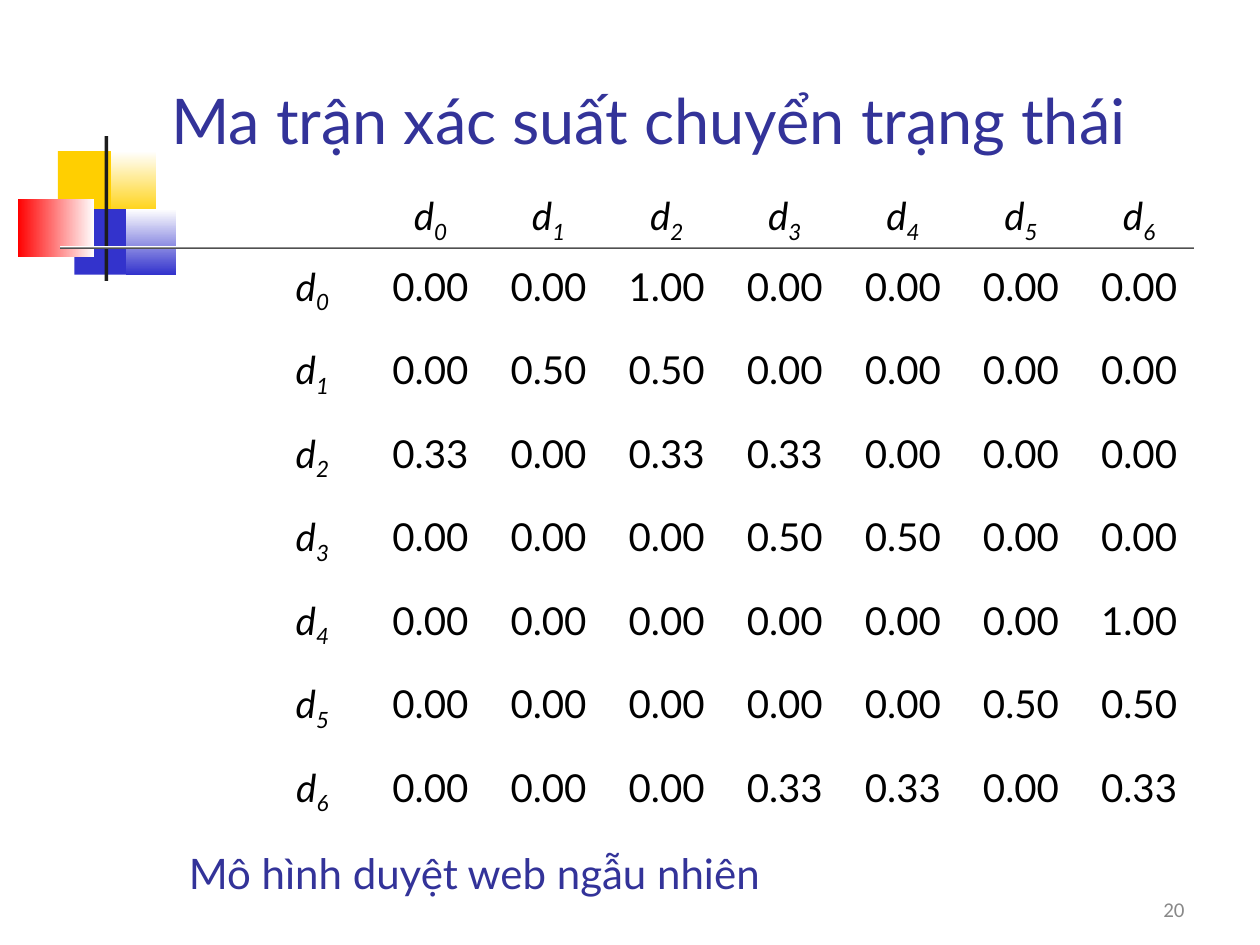
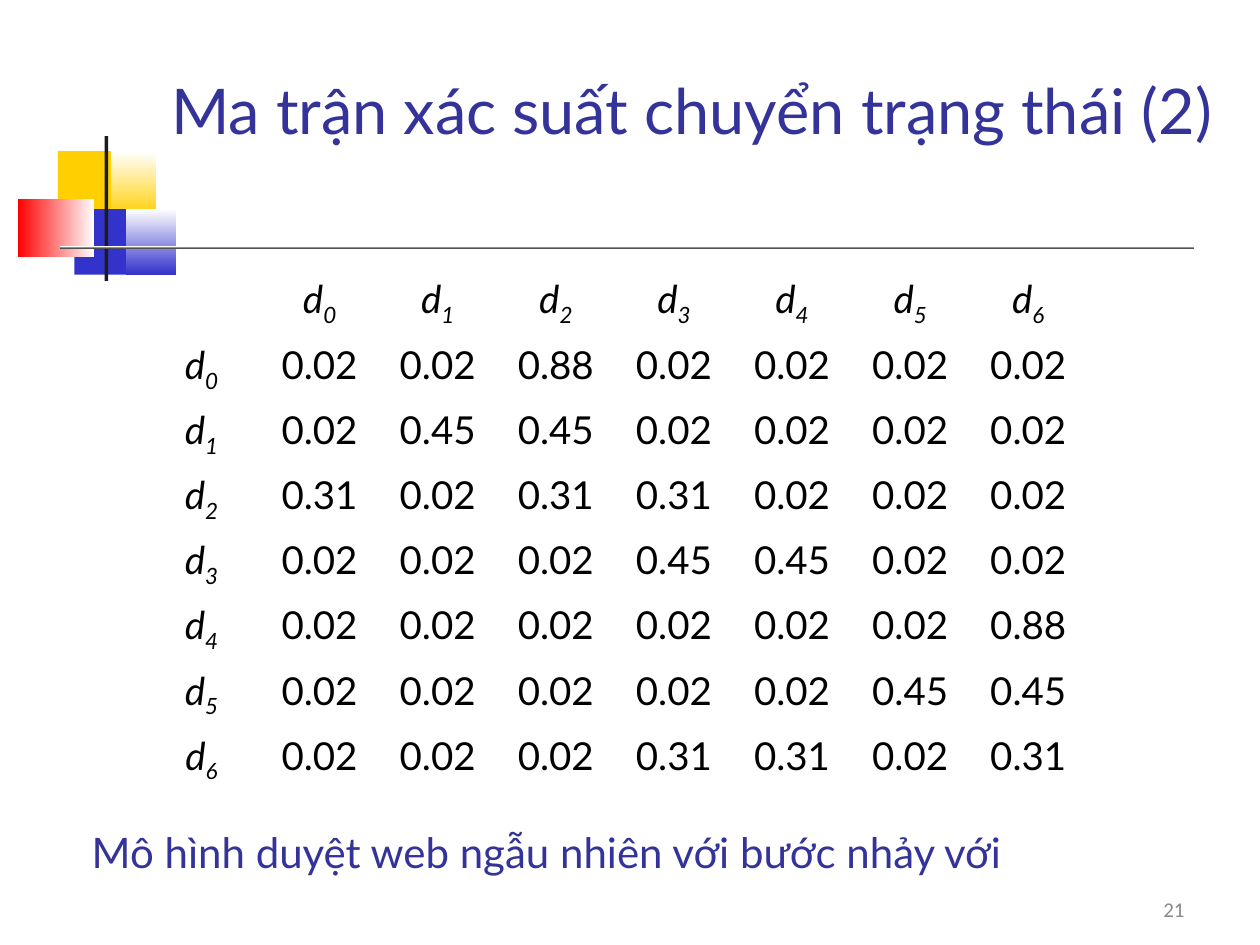
from pptx import Presentation, util as u
from pptx.dml.color import RGBColor
from pptx.enum import shapes, text
from pptx.oxml import ns

COLORS = {
    "title": "333399", "body": "000000", "number": "898989", "white": "FFFFFF",
    "yellow": "FFCF01", "blue": "3333CC", "red": "FF0000", "dark": "1C1C1C",
}
TITLE = {"name": "Lato", "size": 36, "color": "title"}
CAPTION = {"name": "Lato", "size": 24, "color": "title"}
NUMBER = {"name": "Calibri", "size": 12, "color": "number"}
VALUE = {"name": "Lato", "size": 22, "color": "body", "italic": False}
STATE = {**VALUE, "italic": True}
NO_GRID_STYLE = "{2D5ABB26-0587-4C30-8999-92F81FD0307C}"
NUMBER_BOX = (7.17, 7.08, 2.33, 0.27)
MOTIF_BOX = (0.14, 1.08)
MOTIF_PARTS = [
    ((0.32, 0.12, 0.48, 0.52), ["yellow"], 0),
    ((0.74, 0.12, 0.36, 0.52), ["yellow", "white"], 90),
    ((0.45, 0.58, 0.46, 0.52), ["blue"], 0),
    ((0.86, 0.58, 0.40, 0.52), ["blue", "white"], 90),
    ((0, 0.50, 0.61, 0.46), ["white", "red"], 180),
    ((0.69, 0, 0.03, 1.15), ["dark"], 0),
    ((0.34, 0.87, 9, 0.03), ["dark", "white"], 90),
]

SLIDES = [
    {
        "title": "Ma trận xác suất chuyển trạng thái",
        "title_box": (1.26, 0.6, 8.52, 1.34),
        "matrix_box": (2.01, 1.48, 7.5, 5.2),
        "header_height": 0.56,
        "matrix": [
            "0.00 0.00 1.00 0.00 0.00 0.00 0.00",
            "0.00 0.50 0.50 0.00 0.00 0.00 0.00",
            "0.33 0.00 0.33 0.33 0.00 0.00 0.00",
            "0.00 0.00 0.00 0.50 0.50 0.00 0.00",
            "0.00 0.00 0.00 0.00 0.00 0.00 1.00",
            "0.00 0.00 0.00 0.00 0.00 0.50 0.50",
            "0.00 0.00 0.00 0.33 0.33 0.00 0.33",
        ],
        "caption": "Mô hình duyệt web ngẫu nhiên",
        "caption_box": (1.4, 6.68, 7.8, 0.5),
        "number": "20",
    },
    {
        "title": "Ma trận xác suất chuyển trạng thái (2)",
        "title_box": (1.26, 0.52, 8.52, 1.42),
        "matrix_box": (1.13, 2.14, 7.5, 4.14),
        "header_height": 0.52,
        "matrix": [
            "0.02 0.02 0.88 0.02 0.02 0.02 0.02",
            "0.02 0.45 0.45 0.02 0.02 0.02 0.02",
            "0.31 0.02 0.31 0.31 0.02 0.02 0.02",
            "0.02 0.02 0.02 0.45 0.45 0.02 0.02",
            "0.02 0.02 0.02 0.02 0.02 0.02 0.88",
            "0.02 0.02 0.02 0.02 0.02 0.45 0.45",
            "0.02 0.02 0.02 0.31 0.31 0.02 0.31",
        ],
        "caption": "Mô hình duyệt web ngẫu nhiên với bước nhảy với",
        "caption_box": (0.63, 6.51, 8.74, 0.5),
        "number": "21",
    },
]


def inches(box):
    return [u.Inches(length) for length in box]


def rgb(name):
    return RGBColor.from_string(COLORS[name])


def add_run(paragraph, words, style):
    run = paragraph.add_run()
    run.text = words
    for key, value in style.items():
        if key == "color":
            run.font.color.rgb = rgb(value)
        else:
            setattr(run.font, key, u.Pt(value) if key == "size" else value)
    return run


def write_line(frame, words, style, align=text.PP_ALIGN.LEFT, anchor=text.MSO_ANCHOR.TOP):
    settings = {"word_wrap": True, "auto_size": text.MSO_AUTO_SIZE.NONE, "vertical_anchor": anchor}
    for key, value in settings.items():
        setattr(frame, key, value)
    frame.paragraphs[0].alignment = align
    add_run(frame.paragraphs[0], words, style)


def add_motif(slide, box):
    left, top = box
    for (x, y, width, height), hues, angle in MOTIF_PARTS:
        block = slide.shapes.add_shape(
            shapes.MSO_SHAPE.RECTANGLE, *inches((left + x, top + y, width, height)))
        block.shadow.inherit = False
        block.line.fill.background()
        if len(hues) == 1:
            block.fill.solid()
            block.fill.fore_color.rgb = rgb(hues[0])
        else:
            block.fill.gradient()
            block.fill.gradient_angle = angle
            for stop, hue in zip(block.fill.gradient_stops, hues):
                stop.color.rgb = rgb(hue)


def add_title(slide, words, box):
    title = slide.shapes.title
    for key, value in zip(("left", "top", "width", "height"), inches(box)):
        setattr(title, key, value)
    write_line(title.text_frame, words, TITLE)


def add_label(slide, words, box, style, **layout):
    label = slide.shapes.add_textbox(*inches(box))
    write_line(label.text_frame, words, style, **layout)


def write_state(paragraph, index):
    add_run(paragraph, "d", STATE)
    subscript = add_run(paragraph, str(index), STATE)
    subscript.font._element.set("baseline", "-25000")


def add_matrix(slide, rows, box, header_height):
    size = len(rows) + 1
    matrix = slide.shapes.add_table(size, size, *inches(box)).table
    matrix.first_row = matrix.horz_banding = False
    matrix._tbl.tblPr.find(ns.qn("a:tableStyleId")).text = NO_GRID_STYLE
    _, _, width, height = box
    for column in matrix.columns:
        column.width = u.Inches(width / size)
    for row in matrix.rows:
        row.height = u.Inches((height - header_height) / (size - 1))
    matrix.rows[0].height = u.Inches(header_height)
    values = [row.split() for row in rows]
    for r in range(size):
        for c in range(size):
            cell = matrix.cell(r, c)
            cell.fill.background()
            paragraph = cell.text_frame.paragraphs[0]
            paragraph.alignment = text.PP_ALIGN.CENTER
            if r and c:
                add_run(paragraph, values[r - 1][c - 1], VALUE)
            elif r or c:
                write_state(paragraph, r + c - 1)


def add_matrix_slide(deck, content):
    slide = deck.slides.add_slide(deck.slide_layouts[5])
    add_motif(slide, MOTIF_BOX)
    add_title(slide, content["title"], content["title_box"])
    add_matrix(slide, content["matrix"], content["matrix_box"], content["header_height"])
    add_label(slide, content["caption"], content["caption_box"], CAPTION)
    add_label(slide, content["number"], NUMBER_BOX, NUMBER,
              align=text.PP_ALIGN.RIGHT, anchor=text.MSO_ANCHOR.MIDDLE)


def main():
    deck = Presentation()
    deck.slide_width, deck.slide_height = inches((10, 7.5))
    for content in SLIDES:
        add_matrix_slide(deck, content)
    deck.save("out.pptx")


if __name__ == "__main__":
    main()
